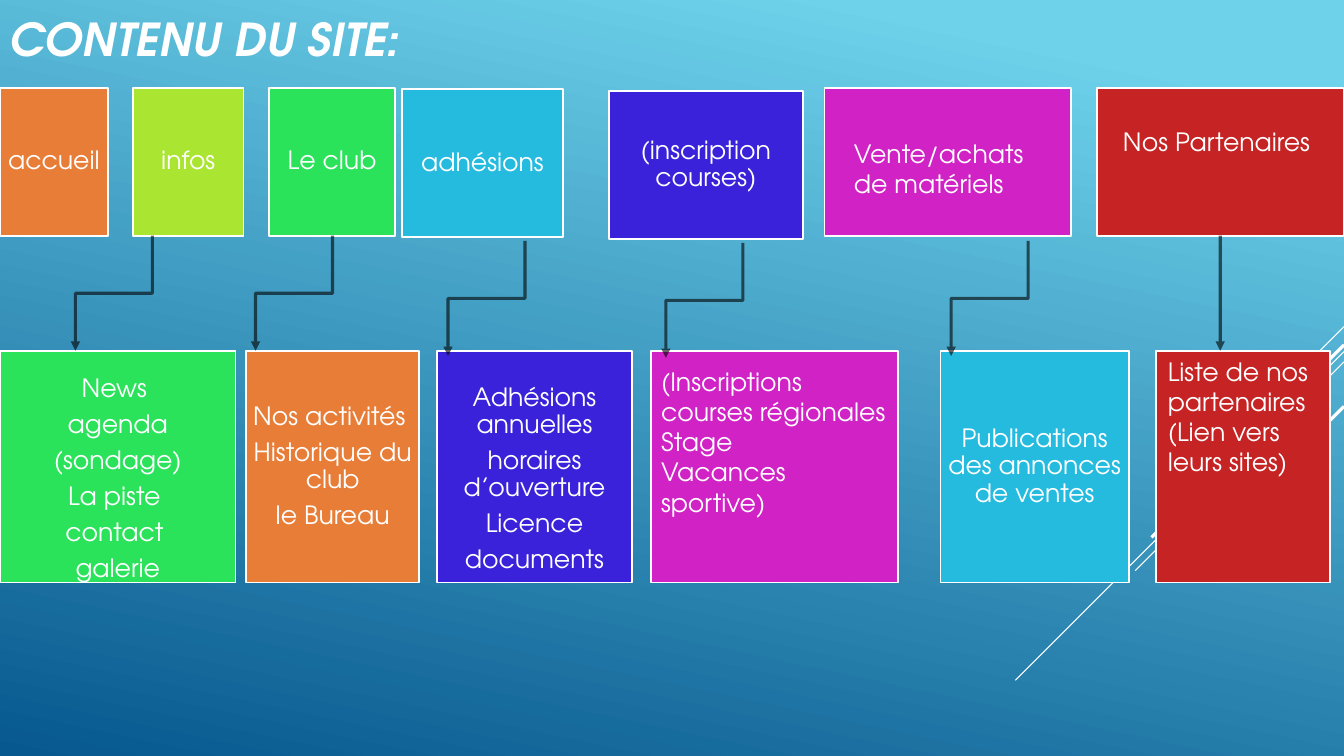
from lxml.etree import SubElement
from pptx import Presentation
from pptx.dml.color import RGBColor
from pptx.enum.shapes import MSO_CONNECTOR as LINK, MSO_SHAPE as SHAPE
from pptx.enum.text import MSO_ANCHOR as ANCHOR, PP_ALIGN as ALIGN
from pptx.oxml.ns import qn
from pptx.util import Cm, Pt

COLOURS = {
    "white": "FFFFFF", "black": "000000", "sky": "6ED2EB", "deep": "06588E",
    "orange": "E87D37", "lime": "AAE531", "green": "2BE25B", "cyan": "25BBDF",
    "blue": "3922D9", "magenta": "D022C5", "red": "C62324",
}
RGB = {name: RGBColor.from_string(value) for name, value in COLOURS.items()}
FONT = "TeX Gyre Adventor"


def write_text(frame, text, size=18, bold=False, italic=False, align=ALIGN.CENTER,
               anchor=ANCHOR.MIDDLE, spacing=0.9, after=6.3, margins=(0.17,) * 4):
    """Fill a frame, one paragraph per line; margins are left, top, right, bottom in cm."""
    frame.word_wrap = True
    frame.vertical_anchor = anchor
    (frame.margin_left, frame.margin_top,
     frame.margin_right, frame.margin_bottom) = map(Cm, margins)
    frame.text = text
    for paragraph in frame.paragraphs:
        paragraph.alignment = align
        paragraph.line_spacing = spacing
        paragraph.space_before = Pt(0)
        paragraph.space_after = Pt(after)
        font = paragraph.font
        font.name, font.size, font.bold, font.italic = FONT, Pt(size), bold, italic
        font.color.rgb = RGB["white"]


def style_link(link, colour, width, arrow=False):
    """Set colour and width; an arrow is translucent and has a head at its end."""
    link.line.color.rgb = RGB[colour]
    link.line.width = Pt(width)
    properties = link.line._get_or_add_ln()
    if arrow:
        SubElement(properties.find(".//" + qn("a:srgbClr")), qn("a:alpha"), val="60000")
        SubElement(properties, qn("a:tailEnd"), type="triangle")
    SubElement(properties.getparent(), qn("a:effectLst"))


presentation = Presentation()
presentation.slide_width, presentation.slide_height = Cm(33.87), Cm(19.05)
slide = presentation.slides.add_slide(presentation.slide_layouts[5])
shapes = slide.shapes

# Background
backdrop = slide.background.fill
backdrop.gradient()
backdrop.gradient_angle = 258
for stop, position, colour in zip(backdrop.gradient_stops, (0.1, 1), ("sky", "deep")):
    stop.position = position
    stop.color.rgb = RGB[colour]

# Diagonal rays from the right edge, all at 45 degrees: start height, run, width
for top, run, width in [(8.23, 2.54, 0.75), (8.86, 8.28, 0.75), (9.12, 5.26, 0.75),
                        (8.69, 4.85, 2.25), (10.24, 3.53, 2.25)]:
    ray = shapes.add_connector(LINK.STRAIGHT, Cm(33.87), Cm(top),
                               Cm(33.87 - run), Cm(top + run))
    style_link(ray, "white", width)

# Title
title = shapes.title
title.left, title.top, title.width, title.height = Cm(0), Cm(0.2), Cm(11.3), Cm(1.73)
write_text(title.text_frame, "CONTENU DU SITE:", size=32.4, bold=True, italic=True,
           align=ALIGN.LEFT, after=0, margins=(0.25, 0.13, 0.25, 0.13))

# Pages of the site and, below, what each holds: left, top, width, height, colour, text, format
plain = dict(align=ALIGN.LEFT, anchor=ANCHOR.TOP, spacing=1, after=0)
PAGE, DETAIL = 3.73, 5.84
boxes = [
    (0, 2.21, 2.72, PAGE, "orange", "accueil", {}),
    (3.35, 2.21, 2.79, PAGE, "lime", "infos", {}),
    (6.78, 2.21, 3.18, PAGE, "green", "Le club", {}),
    (10.13, 2.24, 4.06, PAGE, "cyan", "adhésions", {}),
    (15.34, 2.29, 4.9, PAGE, "blue", "(inscription courses)", {}),
    (20.78, 2.21, 6.22, PAGE, "magenta", "Vente/achats de matériels",
     dict(plain, margins=(0.74, 1.27, 0.53, 0.13))),
    (0, 8.84, 5.94, DETAIL, "green",
     "News \nagenda\n(sondage)\nLa piste \ncontact \ngalerie",
     dict(anchor=ANCHOR.TOP, margins=(0.17, 0.62, 0.17, 0))),
    (6.2, 8.84, 4.37, DETAIL, "orange",
     "Nos activités \nHistorique du club\nle Bureau", {}),
    (11.02, 8.84, 4.9, DETAIL, "blue",
     "Adhésions annuelles\nhoraires d’ouverture\nLicence\ndocuments",
     dict(anchor=ANCHOR.TOP, margins=(0.17, 0.85, 0.17, 0))),
    (16.41, 8.84, 6.22, DETAIL, "magenta",
     "(Inscriptions courses régionales\nStage\nVacances sportive)",
     dict(plain, margins=(0.25, 0.38, 0.25, 0.13))),
    (23.7, 8.84, 4.75, DETAIL, "cyan", "Publications des annonces de ventes", {}),
    (29.13, 8.84, 4.39, DETAIL, "red",
     "Liste de nos partenaires\n(Lien vers leurs sites)",
     dict(plain, margins=(0.3, 0.13, 0.28, 0.13))),
    (27.64, 2.21, 6.22, PAGE, "red", "Nos Partenaires",
     dict(plain, margins=(0.66, 0.97, 0.61, 0.13))),
]
for left, top, width, height, colour, text, text_format in boxes:
    box = shapes.add_shape(SHAPE.RECTANGLE, Cm(left), Cm(top), Cm(width), Cm(height))
    box.shadow.inherit = False
    box.fill.solid()
    box.fill.fore_color.rgb = RGB[colour]
    box.line.color.rgb = RGB["white"]
    box.line.width = Pt(1.25)
    write_text(box.text_frame, text, **text_format)
partners = box

# Bent arrows: turned a quarter so that they leave and arrive vertically
DROP, SHIFT = 2.9, 1.94
for start_x, start_y in [(3.84, 5.94), (8.38, 5.94), (13.23, 6.07),
                         (18.72, 6.12), (25.91, 6.07)]:
    left = start_x - (SHIFT + DROP) / 2
    top = start_y + (DROP - SHIFT) / 2
    arrow = shapes.add_connector(LINK.ELBOW, Cm(left), Cm(top),
                                 Cm(left + DROP), Cm(top + SHIFT))
    arrow._element.spPr.find(qn("a:xfrm")).set("rot", "5400000")
    style_link(arrow, "black", 2.25, arrow=True)

# Straight arrow below the partners page
arrow = shapes.add_connector(LINK.STRAIGHT, Cm(30.75), Cm(5.94), Cm(30.75), Cm(8.84))
arrow.begin_connect(partners, 2)
style_link(arrow, "black", 2.25, arrow=True)

presentation.save("out.pptx")
